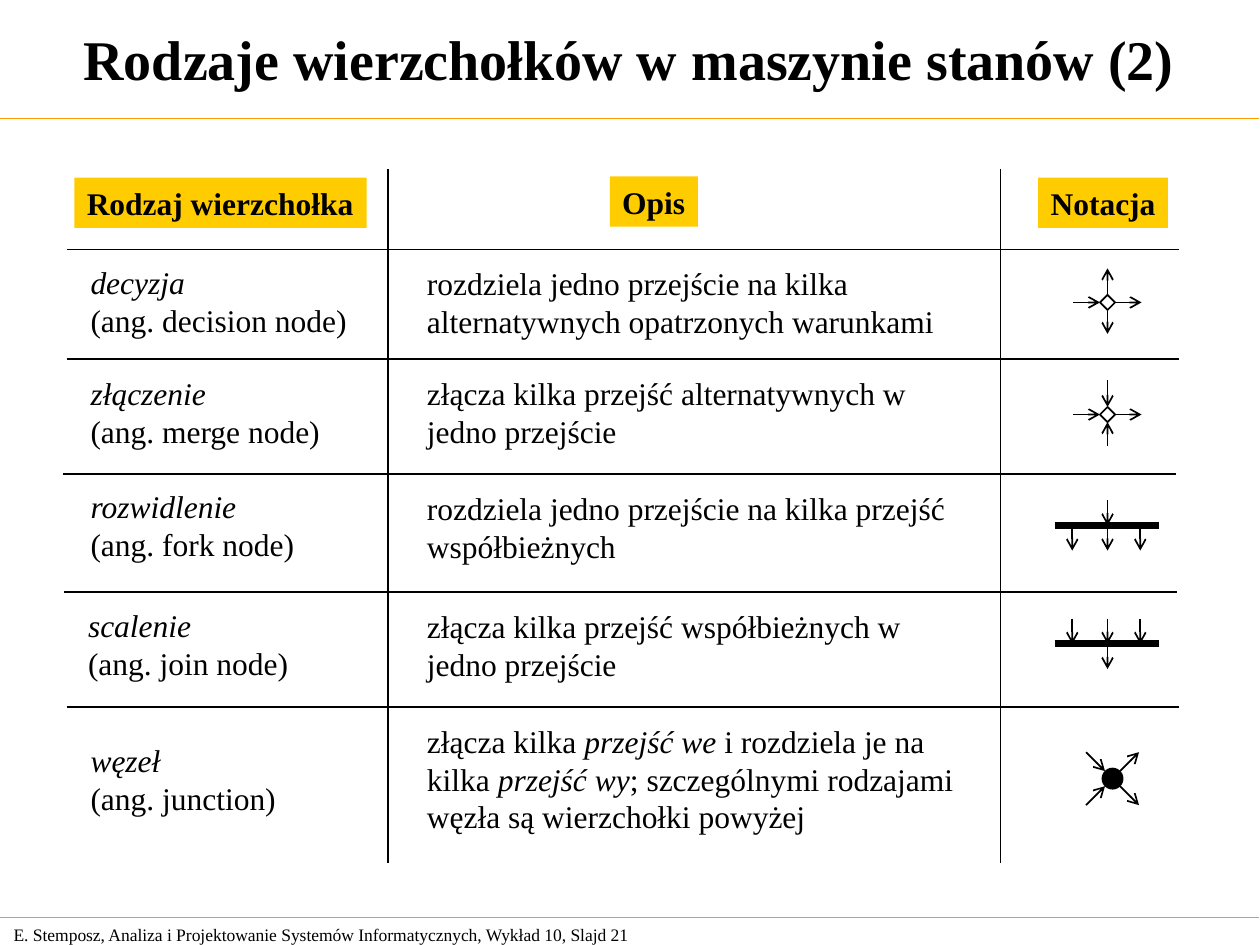
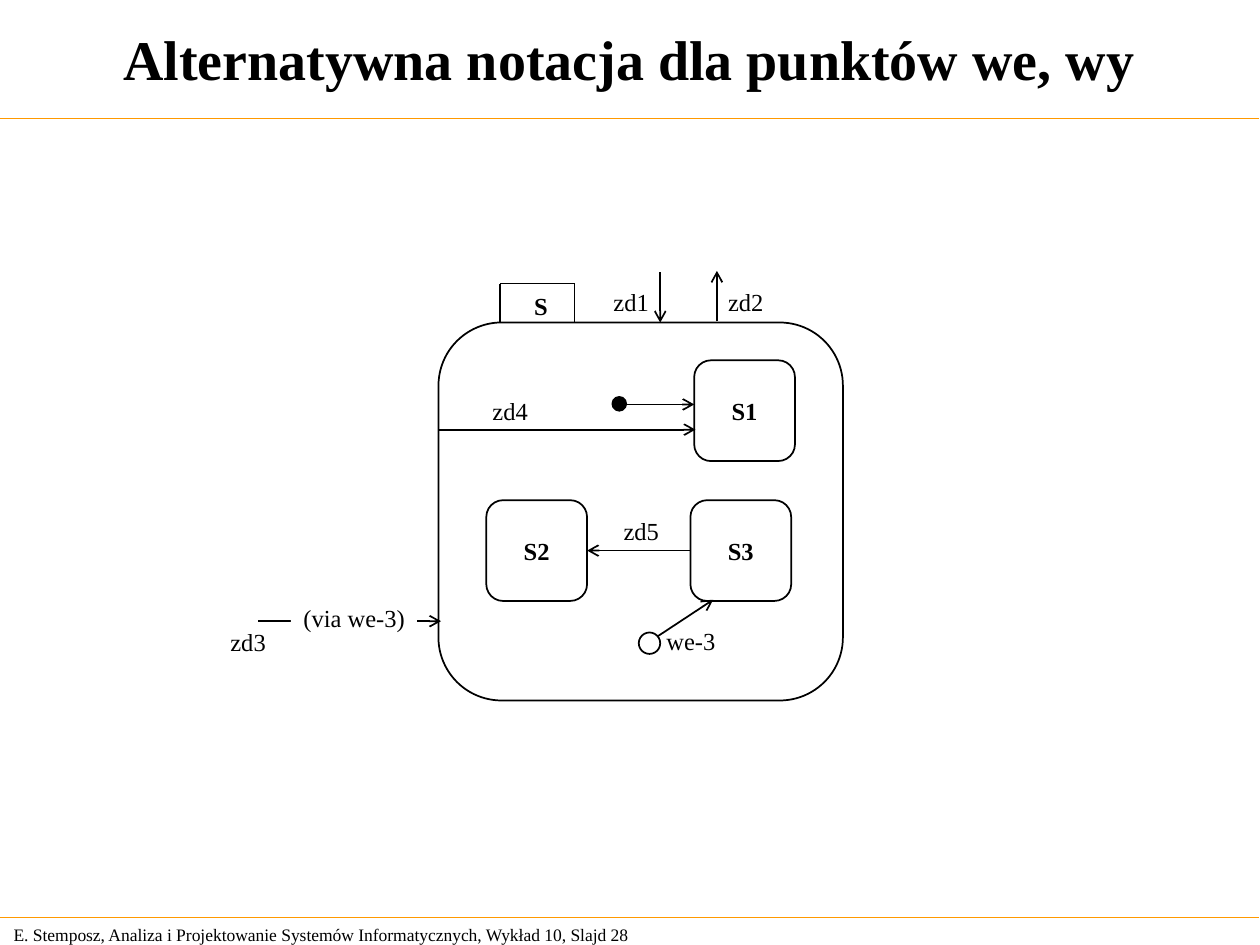
from lxml.etree import SubElement
from pptx import Presentation
from pptx.dml.color import RGBColor
from pptx.enum.shapes import MSO_CONNECTOR, MSO_SHAPE
from pptx.enum.text import MSO_ANCHOR, MSO_AUTO_SIZE, PP_ALIGN
from pptx.oxml.ns import qn
from pptx.util import Inches, Pt

COLORS = {"ink": "000000", "paper": "FFFFFF", "band": "FF9900", "label": "FFCC00"}
FONT_NAME = "Times New Roman"
SLIDE_SIZE = (10, 7.5)
FOOTER = "E. Stemposz, Analiza i Projektowanie Systemów Informatycznych, Wykład 10, Slajd {}"
TITLE_STYLE = {"size": Pt(32), "bold": True}
FOOTER_STYLE = {"size": Pt(10)}
HEADER_STYLE = {"size": Pt(18), "bold": True}
CELL_STYLE = {"size": Pt(18), "bold": False}
STATE_STYLE = {"size": Pt(14), "bold": True}
EVENT_STYLE = {"size": Pt(14), "bold": False}


# Shared drawing helpers; every position is relative to an origin in inches
def color(name):
    return RGBColor.from_string(COLORS[name])


def place(origin, offset):
    return [Inches(start + shift) for start, shift in zip(origin, offset)]


def style_font(font, style):
    for attribute, value in {"name": FONT_NAME, **style}.items():
        setattr(font, attribute, value)
    font.color.rgb = color("ink")


def write_text(shape, paragraphs, style, wrap=False, align=PP_ALIGN.LEFT, anchor=MSO_ANCHOR.TOP):
    """Each paragraph is a list of pieces; a piece in a tuple is italic."""
    frame = shape.text_frame
    settings = {"word_wrap": wrap, "auto_size": MSO_AUTO_SIZE.NONE, "vertical_anchor": anchor}
    for attribute, value in settings.items():
        setattr(frame, attribute, value)
    for index, pieces in enumerate(paragraphs):
        paragraph = frame.add_paragraph() if index else frame.paragraphs[0]
        paragraph.alignment = align
        for piece in pieces:
            run = paragraph.add_run()
            italic = isinstance(piece, tuple)
            run.text = piece[0] if italic else piece
            style_font(run.font, {**style, "italic": italic})


def add_text(shapes, origin, offset, size, paragraphs, style, fill=None, **layout):
    shape = shapes.add_textbox(*place(origin, offset), *map(Inches, size))
    if fill:
        shape.fill.solid()
        shape.fill.fore_color.rgb = color(fill)
    write_text(shape, paragraphs, style, **layout)


def add_line(shapes, origin, start, end, arrow=False, width=1, line="ink"):
    connector = shapes.add_connector(
        MSO_CONNECTOR.STRAIGHT, *place(origin, start), *place(origin, end))
    connector.line.color.rgb = color(line)
    connector.line.width = Pt(width)
    if arrow:
        SubElement(connector.line._get_or_add_ln(), qn("a:tailEnd"), type="arrow")
    SubElement(connector._element.spPr, qn("a:effectLst"))


def add_figure(shapes, kind, origin, offset, size, fill=None):
    shape = shapes.add_shape(kind, *place(origin, offset), *map(Inches, size))
    shape.shadow.inherit = False
    if fill:
        shape.fill.solid()
        shape.fill.fore_color.rgb = color(fill)
    else:
        shape.fill.background()
    shape.line.color.rgb = color("ink")
    shape.line.width = Pt(1)
    return shape


def add_lecture_slide(presentation, title, number):
    """Slide with title, two orange rules and the footer."""
    slide = presentation.slides.add_slide(presentation.slide_layouts[5])
    heading = slide.shapes.title
    box = {"left": 0, "top": 0, "width": 9.99, "height": 0.92}
    for attribute, value in box.items():
        setattr(heading, attribute, Inches(value))
    write_text(heading, [[title]], TITLE_STYLE, wrap=True,
               align=PP_ALIGN.CENTER, anchor=MSO_ANCHOR.MIDDLE)
    for top in (0.94, 7.28):
        add_line(slide.shapes, (0, top), (0, 0), (9.99, 0), width=0.75, line="band")
    add_text(slide.shapes, (0.01, 7.28), (0, 0), (5.24, 0.27),
             [[FOOTER.format(number)]], FOOTER_STYLE, anchor=MSO_ANCHOR.MIDDLE)
    return slide


# Notation symbols, drawn around a centre point
def draw_branch(shapes, centre, outgoing):
    add_figure(shapes, MSO_SHAPE.DIAMOND, centre, (-0.06, -0.06), (0.12, 0.12))
    add_line(shapes, centre, (-0.27, 0), (-0.06, 0), arrow=True)
    add_line(shapes, centre, (0.06, 0), (0.27, 0), arrow=True)
    for near, far in ((-0.06, -0.27), (0.06, 0.25)):
        start, end = (near, far) if outgoing else (far, near)
        add_line(shapes, centre, (0, start), (0, end), arrow=True)


def draw_bar(shapes, centre, outgoing):
    reach = 0.2
    add_line(shapes, centre, (-0.42, 0), (0.41, 0), width=4)
    single, triple = (-reach, 0), (0, reach)
    if not outgoing:
        single, triple = triple, single
    for x in (-0.28, 0, 0.26):
        add_line(shapes, centre, (x, triple[0]), (x, triple[1]), arrow=True)
    add_line(shapes, centre, (0, single[0]), (0, single[1]), arrow=True)


def draw_decision(shapes, centre):
    draw_branch(shapes, centre, outgoing=True)


def draw_merge(shapes, centre):
    draw_branch(shapes, centre, outgoing=False)


def draw_fork(shapes, centre):
    draw_bar(shapes, centre, outgoing=True)


def draw_join(shapes, centre):
    draw_bar(shapes, centre, outgoing=False)


def draw_junction(shapes, centre):
    add_figure(shapes, MSO_SHAPE.OVAL, centre, (-0.08, -0.08), (0.16, 0.16), "ink")
    near, far = 0.06, 0.21
    for side in (-1, 1):
        add_line(shapes, centre, (-far, side * far), (-near, side * near), arrow=True)
        add_line(shapes, centre, (near, side * near), (far, side * far), arrow=True)


# Rows: rule left and top, name offset, name, English name, description, symbol, its offset
VERTEX_ROWS = [
    (0.53, 1.98, (0.62, 0.06), "decyzja", "(ang. decision node)",
     ["rozdziela jedno przejście na kilka alternatywnych opatrzonych warunkami"],
     draw_decision, (8.79, 0.42)),
    (0.53, 2.85, (0.62, 0.07), "złączenie", "(ang. merge node)",
     ["złącza kilka przejść alternatywnych w jedno przejście"],
     draw_merge, (8.79, 0.44)),
    (0.5, 3.76, (0.62, 0.06), "rozwidlenie", "(ang. fork node)",
     ["rozdziela jedno przejście na kilka przejść współbieżnych"],
     draw_fork, (8.79, 0.41)),
    (0.51, 4.7, (0.6, 0.06), "scalenie", "(ang. join node)",
     ["złącza kilka przejść współbieżnych w jedno przejście"],
     draw_join, (8.79, 0.41)),
    (0.53, 5.61, (0.62, 0.22), "węzeł", "(ang. junction)",
     ["złącza kilka ", ("przejść we",), " i rozdziela je na kilka ", ("przejść wy",),
      "; szczególnymi rodzajami węzła są wierzchołki powyżej"],
     draw_junction, (8.83, 0.57)),
]


def draw_vertex_headers(slide, origin):
    headers = [("Rodzaj wierzchołka", 0.59, 0.07, 2.32), ("Opis", 4.84, 0.06, 0.7),
               ("Notacja", 8.24, 0.07, 1.03)]
    for text, left, top, width in headers:
        add_text(slide.shapes, origin, (left, top), (width, 0.4), [[text]],
                 HEADER_STYLE, fill="label")
    for x in (3.08, 7.94):
        add_line(slide.shapes, origin, (x, 0), (x, 5.51))


def draw_vertex_row(slide, row):
    rule_left, top, name_offset, name, english, description, draw_symbol, symbol = row
    origin = (0, top)
    add_line(slide.shapes, origin, (rule_left, 0), (rule_left + 8.83, 0))
    add_text(slide.shapes, origin, name_offset, (2.41, 0.7),
             [[(name,)], [english]], CELL_STYLE, wrap=True)
    add_text(slide.shapes, origin, (3.29, 0.07), (4.39, 0.7),
             [description], CELL_STYLE, wrap=True)
    group = slide.shapes.add_group_shape()
    draw_symbol(group.shapes, (symbol[0], top + symbol[1]))


def build_vertex_slide(presentation):
    slide = add_lecture_slide(presentation, "Rodzaje wierzchołków w maszynie stanów (2)", 21)
    draw_vertex_headers(slide, (0, 1.34))
    for row in VERTEX_ROWS:
        draw_vertex_row(slide, row)


def draw_state(shapes, origin, offset, size, name=None):
    state = add_figure(shapes, MSO_SHAPE.ROUNDED_RECTANGLE, origin, offset, size, "paper")
    state.adjustments[0] = 0.167
    if name:
        write_text(state, [[name]], STATE_STYLE, align=PP_ALIGN.CENTER,
                   anchor=MSO_ANCHOR.MIDDLE)


def draw_state_machine(shapes, origin):
    # Composite state with its name tab
    draw_state(shapes, origin, (0, 0), (3.21, 3))
    tab_left, tab_right, tab_top = 0.49, 1.08, -0.31
    for x in (tab_left, tab_right):
        add_line(shapes, origin, (x, tab_top), (x, 0))
    add_line(shapes, origin, (tab_left, tab_top), (tab_right, tab_top))
    add_text(shapes, origin, (0.66, -0.3), (0.31, 0.34), [["S"]], STATE_STYLE)

    # Inner states
    for name, offset in {"S1": (2.03, 0.3), "S2": (0.38, 1.41), "S3": (2, 1.41)}.items():
        draw_state(shapes, origin, offset, (0.8, 0.8), name)

    # Transitions
    transitions = [
        ((1.5, 0.65), (2.03, 0.65)),
        ((0, 0.85), (2.04, 0.85)),
        ((2, 1.81), (1.18, 1.81)),
        ((1.74, 2.49), (2.18, 2.2)),
        ((1.76, -0.4), (1.76, 0)),
        ((2.21, -0.01), (2.21, -0.41)),
        ((-1.43, 2.37), (0.02, 2.37)),
    ]
    for start, end in transitions:
        add_line(shapes, origin, start, end, arrow=True)

    # Initial state and entry point
    add_figure(shapes, MSO_SHAPE.OVAL, origin, (1.38, 0.59), (0.11, 0.11), "ink")
    add_figure(shapes, MSO_SHAPE.OVAL, origin, (1.59, 2.46), (0.17, 0.17), "paper")

    # Event labels
    events = [
        ("zd1", (1.29, -0.33), 0.48, None),
        ("zd2", (2.2, -0.33), 0.48, None),
        ("zd3", (-1.75, 2.37), 0.48, None),
        ("zd4", (0.33, 0.53), 0.48, None),
        ("zd5", (1.37, 1.49), 0.48, None),
        ("we-3", (1.71, 2.36), 0.59, None),
        ("(via we-3)", (-1.17, 2.18), 1, "paper"),
    ]
    for text, offset, width, fill in events:
        add_text(shapes, origin, offset, (width, 0.34), [[text]], EVENT_STYLE, fill=fill)


def build_notation_slide(presentation):
    slide = add_lecture_slide(presentation, "Alternatywna notacja dla punktów we, wy", 28)
    group = slide.shapes.add_group_shape()
    draw_state_machine(group.shapes, (3.48, 2.56))


def main():
    presentation = Presentation()
    presentation.slide_width, presentation.slide_height = map(Inches, SLIDE_SIZE)
    build_vertex_slide(presentation)
    build_notation_slide(presentation)
    presentation.save("out.pptx")


if __name__ == "__main__":
    main()
